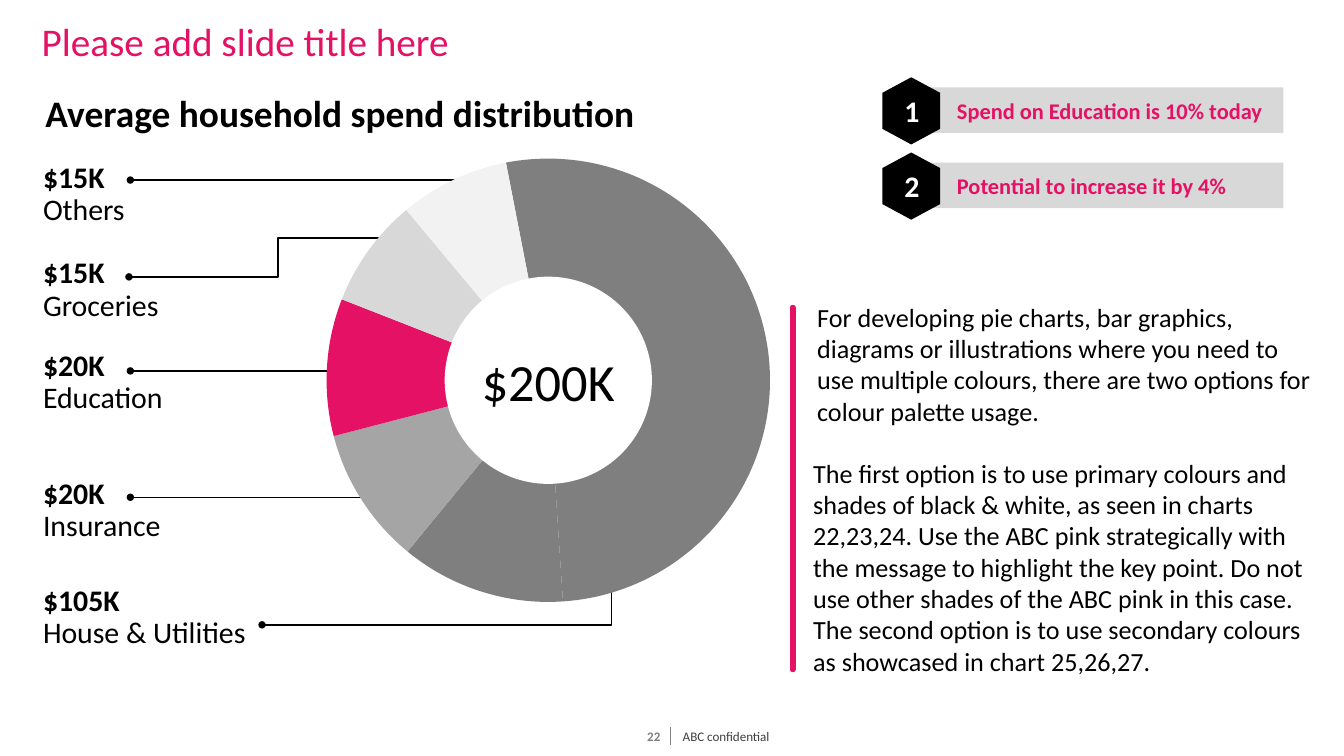
from lxml.etree import SubElement
from pptx import Presentation
from pptx.chart.data import CategoryChartData
from pptx.dml.color import RGBColor
from pptx.enum.chart import XL_CHART_TYPE
from pptx.enum.shapes import MSO_CONNECTOR, MSO_SHAPE
from pptx.enum.text import MSO_ANCHOR, PP_ALIGN
from pptx.oxml import parse_xml
from pptx.oxml.ns import nsdecls, qn
from pptx.util import Inches, Pt

PINK, BLACK, WHITE = "E41165", "000000", "FFFFFF"
DARK_GREY, MID_GREY, LIGHT_GREY, PALE_GREY = "7F7F7F", "A5A5A5", "D8D8D8", "F2F2F2"
FONT = "Calibri"
LABEL_LEFT = 0.32
PIE_CENTER, PIE_RADIUS, HOLE_RADIUS = (4.08, 2.83), 1.65, 0.75

SPENDING = [
    ("House & Utilities", 52, DARK_GREY),
    ("", 12, DARK_GREY),
    ("Insurance", 10, MID_GREY),
    ("Education", 10, PINK),
    ("Groceries", 8, LIGHT_GREY),
    ("Others", 8, PALE_GREY),
]
LABELS = [
    ("$15K\nOthers", 1.21, [(0.97, 1.34), (3.43, 1.34)]),
    ("$15K\nGroceries", 1.92, [(0.96, 2.06), (2.07, 2.06), (2.07, 1.77), (2.82, 1.77)]),
    ("$20K\nEducation", 2.61, [(0.97, 2.76), (3.31, 2.76)]),
    ("$20K\nInsurance", 3.56, [(0.97, 3.7), (3.31, 3.7)]),
    ("$105K\nHouse & Utilities", 4.36, [(1.95, 4.65), (4.55, 4.65), (4.55, 4.28)]),
]
MESSAGES = ["Spend on Education is 10% today", "Potential to increase it by 4%"]
NOTES = [
    (6.07, 2.23, 3.69, 0.95,
     "For developing pie charts, bar graphics, diagrams or illustrations where you need to "
     "use multiple colours, there are two options for colour palette usage."),
    (6.04, 3.39, 3.72, 1.66,
     "The first option is to use primary colours and shades of black & white, as seen in "
     "charts 22,23,24. Use the ABC pink strategically with the message to highlight the key "
     "point. Do not use other shades of the ABC pink in this case. The second option is to "
     "use secondary colours as showcased in chart 25,26,27."),
]


def color(value):
    """Turn a hex string into a colour."""
    return RGBColor.from_string(value)


def box(left, top, width, height):
    """Convert a position and size in inches to lengths."""
    return [Inches(value) for value in (left, top, width, height)]


def write(shape, text, size, fill=BLACK, bold=False, align=PP_ALIGN.LEFT,
          anchor=MSO_ANCHOR.TOP, insets=(0, 0, 0, 0), spacing=None):
    """Fill a shape with lines of text; bold applies to the first line."""
    frame = shape.text_frame
    frame.word_wrap = True
    frame.vertical_anchor = anchor
    frame.margin_left, frame.margin_top, frame.margin_right, frame.margin_bottom = box(*insets)
    paragraph = frame.paragraphs[0]
    paragraph.alignment = align
    paragraph.line_spacing = spacing
    for index, line in enumerate(text.split("\n")):
        if index:
            paragraph.add_line_break()
        run = paragraph.add_run()
        run.text = line
        run.font.name = FONT
        run.font.size = Pt(size)
        run.font.bold = bold and index == 0
        run.font.color.rgb = color(fill)
    for line_break in paragraph._p.findall(qn("a:br")):
        SubElement(line_break, qn("a:rPr")).set("sz", str(size * 100))


def add_text(shapes, place, text, size, **style):
    """Add a text box."""
    write(shapes.add_textbox(*box(*place)), text, size, **style)


def add_block(shapes, kind, place, fill, line=None, line_width=1):
    """Add a flat preset shape."""
    shape = shapes.add_shape(kind, *box(*place))
    shape.shadow.inherit = False
    shape.fill.solid()
    shape.fill.fore_color.rgb = color(fill)
    if line:
        shape.line.color.rgb = color(line)
        shape.line.width = Pt(line_width)
    else:
        shape.line.fill.background()
    return shape


def add_line(shapes, points, stroke=BLACK, dot=False):
    """Draw a thin line through points, with an optional dot at its start."""
    corners = [(Inches(x), Inches(y)) for x, y in points]
    if len(corners) == 2:
        line = shapes.add_connector(MSO_CONNECTOR.STRAIGHT, *corners[0], *corners[1])
    else:
        builder = shapes.build_freeform(*corners[0])
        builder.add_line_segments(corners[1:], close=False)
        line = builder.convert_to_shape()
        line.fill.background()
    line.line.color.rgb = color(stroke)
    line.line.width = Pt(0.75)
    if dot:
        head = SubElement(line.line._get_or_add_ln(), qn("a:headEnd"))
        for name, value in (("type", "oval"), ("w", "sm"), ("len", "sm")):
            head.set(name, value)
    SubElement(line._element.spPr, qn("a:effectLst"))


def add_pie(shapes):
    """Add the spending pie, its slices filling the whole chart frame."""
    data = CategoryChartData(number_format="0")
    data.categories = [name for name, _, _ in SPENDING]
    data.add_series("Spend (%)", [share for _, share, _ in SPENDING])
    x, y = PIE_CENTER
    place = box(x - PIE_RADIUS, y - PIE_RADIUS, 2 * PIE_RADIUS, 2 * PIE_RADIUS)
    chart = shapes.add_chart(XL_CHART_TYPE.PIE, *place, data).chart
    chart.has_legend = chart.has_title = False
    chart.font.name = FONT
    chart.font.size = Pt(12)
    chart.font.color.rgb = color(BLACK)
    plot = chart.plots[0]
    plot.vary_by_categories = True
    for index, (_, _, fill) in enumerate(SPENDING):
        style = plot.series[0].points[index].format
        style.fill.solid()
        style.fill.fore_color.rgb = color(fill)
        style.line.fill.background()
    pie = plot._element
    for angle in pie.findall(qn("c:firstSliceAng")):
        pie.remove(angle)
    SubElement(pie, qn("c:firstSliceAng")).set("val", "349")
    area = pie.getparent()
    for layout in area.findall(qn("c:layout")):
        area.remove(layout)
    area.insert(0, parse_xml(
        f'<c:layout {nsdecls("c")}><c:manualLayout><c:layoutTarget val="inner"/>'
        '<c:xMode val="edge"/><c:yMode val="edge"/><c:x val="0"/><c:y val="0"/>'
        '<c:w val="1"/><c:h val="1"/></c:manualLayout></c:layout>'))
    chart.element.find(qn("c:chart")).addnext(parse_xml(
        f'<c:spPr {nsdecls("c", "a")}><a:noFill/><a:ln><a:noFill/></a:ln></c:spPr>'))


def add_hole(shapes):
    """Add the white centre of the ring with the total."""
    x, y = PIE_CENTER
    place = (x - HOLE_RADIUS, y - HOLE_RADIUS, 2 * HOLE_RADIUS, 2 * HOLE_RADIUS)
    hole = add_block(shapes, MSO_SHAPE.OVAL, place, WHITE, WHITE, 3)
    write(hole, "$200K", 28, align=PP_ALIGN.CENTER, anchor=MSO_ANCHOR.MIDDLE)


def add_message(shapes, number, text):
    """Add a numbered key message as a group."""
    top = 0.65 + 0.56 * (number - 1)
    members = shapes.add_group_shape().shapes
    bar = add_block(members, MSO_SHAPE.RECTANGLE, (6.9, top, 2.65, 0.34), LIGHT_GREY)
    write(bar, text, 12, fill=PINK, bold=True, anchor=MSO_ANCHOR.MIDDLE,
          insets=(0.22, 0.05, 0.1, 0.05))
    badge = add_block(members, MSO_SHAPE.HEXAGON, (6.53, top - 0.04, 0.5, 0.43), BLACK)
    badge.adjustments[0] = 0.27
    badge.rotation = 90
    add_text(members, (6.64, top, 0.29, 0.34), str(number), 16, fill=WHITE, bold=True,
             align=PP_ALIGN.CENTER, anchor=MSO_ANCHOR.MIDDLE)


def add_footer(shapes):
    """Add the page number, divider and confidentiality mark."""
    add_line(shapes, [(4.99, 5.41), (4.99, 5.54)], stroke="808285")
    add_text(shapes, (4.7, 5.41, 0.33, 0.14), "22", 7, fill=DARK_GREY, bold=True,
             align=PP_ALIGN.CENTER, anchor=MSO_ANCHOR.MIDDLE)
    add_text(shapes, (5.01, 5.41, 2.05, 0.14), "ABC confidential", 7, fill="3F3F3F",
             anchor=MSO_ANCHOR.MIDDLE, insets=(0.07, 0, 0.1, 0))


def main():
    """Build the household spend slide."""
    presentation = Presentation()
    presentation.slide_width, presentation.slide_height = Inches(10), Inches(10 * 9 / 16)
    slide = presentation.slides.add_slide(presentation.slide_layouts[5])
    shapes = slide.shapes
    title = shapes.title
    title.left, title.top, title.width, title.height = box(0.21, 0.12, 8.62, 0.6)
    write(title, "Please add slide title here", 21, fill=PINK,
          insets=(0.1, 0.05, 0.1, 0.05), spacing=0.9)
    add_text(shapes, (LABEL_LEFT, 0.67, 4.42, 0.34), "Average household spend distribution",
             20, bold=True, align=PP_ALIGN.CENTER)
    for number, text in enumerate(MESSAGES, 1):
        add_message(shapes, number, text)
    for text, top, points in LABELS:
        add_line(shapes, points, dot=True)
        add_text(shapes, (LABEL_LEFT, top, 1.55, 0.48), text, 16, bold=True, spacing=0.9)
    add_pie(shapes)
    add_hole(shapes)
    for *place, text in NOTES:
        add_text(shapes, place, text, 14, insets=(0.01, 0.01, 0, 0))
    rule = add_block(shapes, MSO_SHAPE.ROUNDED_RECTANGLE, (5.87, 2.26, 0.06, 2.75), PINK, WHITE)
    rule.adjustments[0] = 0.5
    add_footer(shapes)
    presentation.save("out.pptx")


if __name__ == "__main__":
    main()
